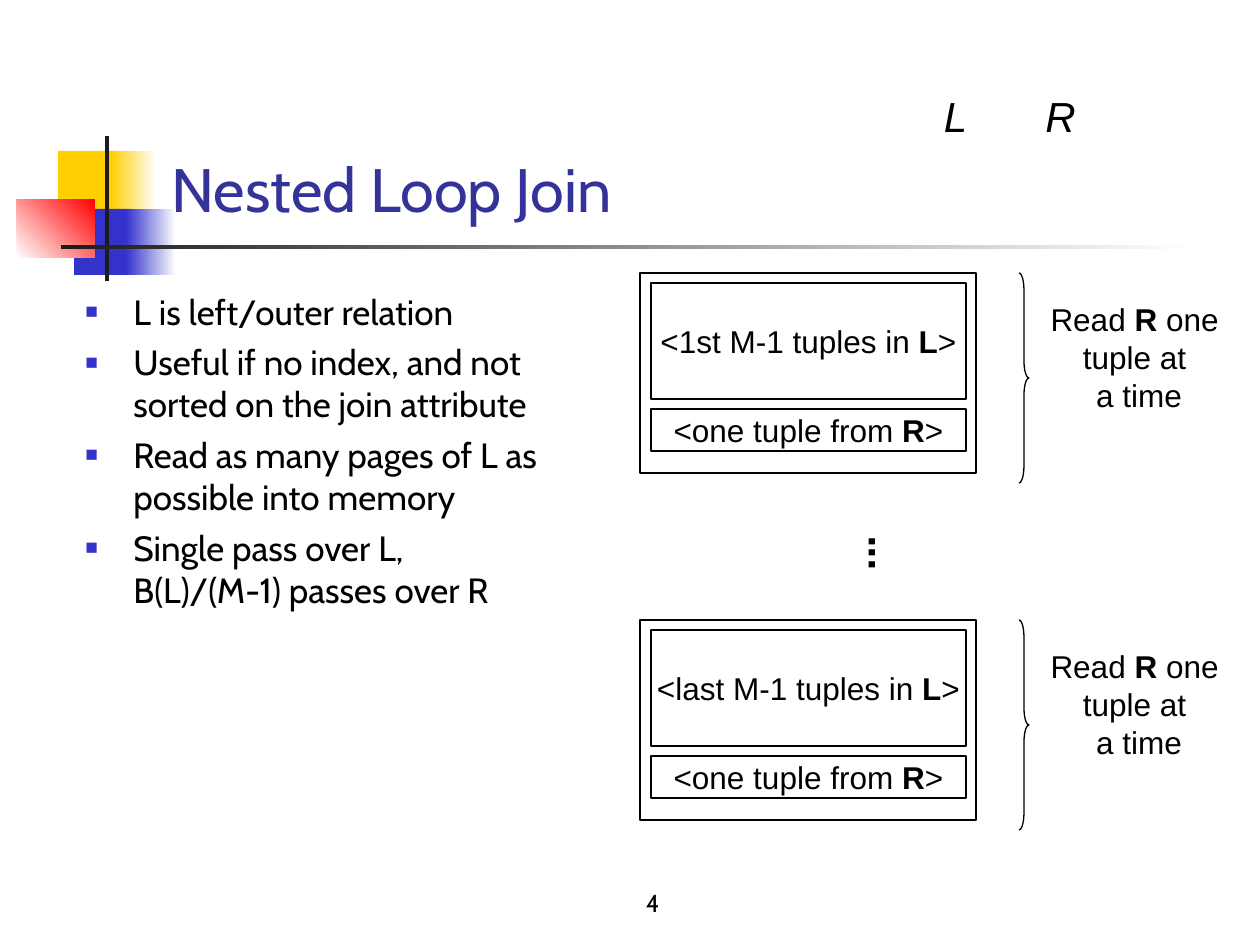
from lxml import etree
from pptx import Presentation
from pptx.dml.color import RGBColor
from pptx.enum.shapes import MSO_SHAPE
from pptx.enum.text import MSO_ANCHOR, MSO_AUTO_SIZE, PP_ALIGN
from pptx.oxml.ns import qn
from pptx.util import Emu, Pt

RECTANGLE, BRACE = MSO_SHAPE.RECTANGLE, MSO_SHAPE.RIGHT_BRACE
LEFT, CENTER, RIGHT = PP_ALIGN.LEFT, PP_ALIGN.CENTER, PP_ALIGN.RIGHT
TOP, MIDDLE, BOTTOM = MSO_ANCHOR.TOP, MSO_ANCHOR.MIDDLE, MSO_ANCHOR.BOTTOM
FIXED = MSO_AUTO_SIZE.NONE

PX_PER_INCH = 126
BLACK, WHITE, DARK = "000000", "FFFFFF", "1C1C1C"
YELLOW, BLUE, RED, TITLE_BLUE = "FFCF01", "3333CC", "FF0000", "333399"
BODY_FONT, DIAGRAM_FONT = "Cabin", "Arial"

DECORATION = [
    ((58, 151, 60, 66), [YELLOW], 0),
    ((111, 151, 45, 66), [YELLOW, WHITE], 0),
    ((74, 209, 58, 66), [BLUE], 0),
    ((126, 209, 50, 66), [BLUE, WHITE], 0),
    ((17, 199, 78, 59), [WHITE, RED], 45),
    ((105, 136, 4, 145), [DARK], 0),
    ((61, 245, 1134, 4), [DARK, WHITE], 0),
]
BULLETS = [
    "L is left/outer relation",
    "Useful if no index, and not sorted on the join attribute",
    "Read as many pages of L as possible into memory",
    "Single pass over L, \nB(L)/(M-1) passes over R",
]
READ_NOTE = [
    [("Read ", False), ("R ", True), ("one ", False)],
    [("tuple at ", False)],
    [("a time", False)],
]


def px(length):
    return Emu(round(length * 914400 / PX_PER_INCH))


def color(value):
    return RGBColor.from_string(value)


def place(shape, bounds):
    shape.left, shape.top, shape.width, shape.height = map(px, bounds)


def prepare_frame(shape, anchor, wrap):
    frame = shape.text_frame
    frame.auto_size = FIXED
    frame.word_wrap = wrap
    frame.vertical_anchor = anchor
    return frame


def add_span(para, text, size, font=DIAGRAM_FONT, fill=BLACK, bold=False, italic=False):
    span = para.add_run()
    span.text = text
    span.font.size = Pt(size)
    span.font.name = font
    span.font.color.rgb = color(fill)
    span.font.bold = bold
    span.font.italic = italic


def write_lines(frame, lines, size, align=CENTER, **style):
    for index, line in enumerate(lines):
        para = frame.add_paragraph() if index else frame.paragraphs[0]
        para.alignment = align
        for text, bold in line:
            add_span(para, text, size, bold=bold, **style)


def add_text(page, bounds, lines, size, align=CENTER, anchor=MIDDLE, wrap=False, **style):
    box = page.shapes.add_textbox(*map(px, bounds))
    write_lines(prepare_frame(box, anchor, wrap), lines, size, align, **style)
    return box


def add_decoration(page, bounds, colors, angle):
    shape = page.shapes.add_shape(RECTANGLE, *map(px, bounds))
    shape.shadow.inherit = False
    shape.line.fill.background()
    if len(colors) == 1:
        shape.fill.solid()
        shape.fill.fore_color.rgb = color(colors[0])
        return
    shape.fill.gradient()
    shape.fill.gradient_angle = angle
    for stop, value in zip(shape.fill.gradient_stops, colors):
        stop.color.rgb = color(value)


def add_outline(page, kind, bounds, line=()):
    shape = page.shapes.add_shape(kind, *map(px, bounds))
    shape.shadow.inherit = False
    shape.fill.background()
    shape.line.color.rgb = color(BLACK)
    shape.line.width = Pt(0.75)
    if line:
        write_lines(prepare_frame(shape, MIDDLE, False), [line], 18)
    return shape


def set_title(page, text):
    title = page.shapes.title
    place(title, (159, 29, 1074, 202))
    frame = prepare_frame(title, BOTTOM, True)
    write_lines(frame, [[(text, False)]], 35, LEFT, font=BODY_FONT, fill=TITLE_BLUE)


def set_bullet(para):
    properties = para._p.get_or_add_pPr()
    properties.set("marL", str(px(48)))
    properties.set("indent", str(-px(48)))
    bullet_color = etree.SubElement(properties, qn("a:buClr"))
    etree.SubElement(bullet_color, qn("a:srgbClr"), val=BLUE)
    etree.SubElement(properties, qn("a:buSzPct"), val="60000")
    etree.SubElement(properties, qn("a:buFont"), typeface=DIAGRAM_FONT)
    etree.SubElement(properties, qn("a:buChar"), char="■")


def add_bullets(page, bounds, items):
    box = page.shapes.add_textbox(*map(px, bounds))
    frame = prepare_frame(box, TOP, True)
    for index, item in enumerate(items):
        para = frame.add_paragraph() if index else frame.paragraphs[0]
        para.alignment = LEFT
        para.space_before = Pt(5)
        set_bullet(para)
        for number, text in enumerate(item.split("\n")):
            if number:
                para.add_line_break()
            add_span(para, text, 20, BODY_FONT)


def add_memory_block(page, top, position):
    add_outline(page, RECTANGLE, (640, top, 336, 200))
    outer = [(f"<{position} M-1 tuples in ", False), ("L", True), (">", False)]
    inner = [("<one tuple from ", False), ("R", True), (">", False)]
    add_outline(page, RECTANGLE, (651, top + 10, 315, 116), outer)
    add_outline(page, RECTANGLE, (651, top + 136, 315, 42), inner)
    brace = add_outline(page, BRACE, (1019, top, 10, 210))
    brace.adjustments[0] = 1.67
    add_text(page, (1071, top, 136, 168), READ_NOTE, 18)


def add_ellipsis(page):
    dots = add_text(page, (822, 517, 67, 72), [[("...", True)]], 28, font=BODY_FONT)
    dots.rotation = 270
    dots.text_frame.paragraphs[0].space_before = Pt(17.5)


def main():
    deck = Presentation()
    deck.slide_width, deck.slide_height = px(1260), px(945)
    page = deck.slides.add_slide(deck.slide_layouts[5])
    for bounds, colors, angle in DECORATION:
        add_decoration(page, bounds, colors, angle)
    add_text(page, (504, 861, 168, 63), [[("4", False)]], 14, RIGHT, BOTTOM, True, font=BODY_FONT)
    set_title(page, "Nested Loop Join")
    add_bullets(page, (73, 284, 525, 567), BULLETS)
    for relation, left in (("L", 924), ("R", 1029)):
        add_text(page, (left, 84, 63, 63), [[(relation, False)]], 24, italic=True)
    add_memory_block(page, 273, "1st")
    add_ellipsis(page)
    add_memory_block(page, 620, "last")
    deck.save("out.pptx")


if __name__ == "__main__":
    main()
